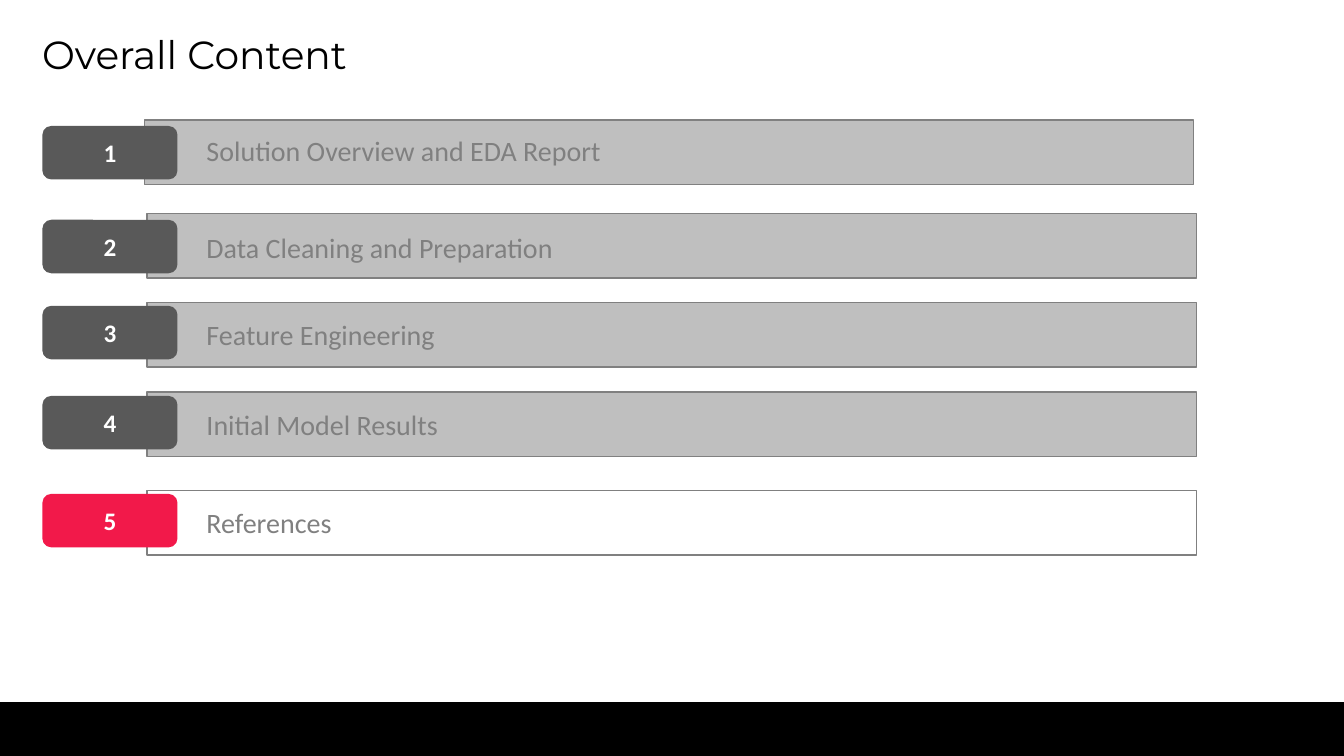
from pptx import Presentation
from pptx.dml.color import RGBColor
from pptx.enum.shapes import MSO_SHAPE
from pptx.enum.text import MSO_ANCHOR, PP_ALIGN
from pptx.util import Pt

RECT, ROUNDED = MSO_SHAPE.RECTANGLE, MSO_SHAPE.ROUNDED_RECTANGLE
MIDDLE, BOTTOM = MSO_ANCHOR.MIDDLE, MSO_ANCHOR.BOTTOM
LEFT, CENTER = PP_ALIGN.LEFT, PP_ALIGN.CENTER
BLACK = RGBColor(0x00, 0x00, 0x00)
WHITE = RGBColor(0xFF, 0xFF, 0xFF)
GREY = RGBColor(0x80, 0x80, 0x80)
LIGHT_GREY = RGBColor(0xBF, 0xBF, 0xBF)
DARK_GREY = RGBColor(0x59, 0x59, 0x59)
RED = RGBColor(0xF2, 0x19, 0x4A)

prs = Presentation()
prs.slide_width, prs.slide_height = Pt(960), Pt(540)
s = prs.slides.add_slide(prs.slide_layouts[6])


def add_box(kind, x, y, w, h, fill, line):
    sp = s.shapes.add_shape(kind, Pt(x), Pt(y), Pt(w), Pt(h))
    sp.shadow.inherit = False
    if fill is None:
        sp.fill.background()
    else:
        sp.fill.solid()
        sp.fill.fore_color.rgb = fill
    if line is None:
        sp.line.fill.background()
    else:
        sp.line.color.rgb = line
        sp.line.width = Pt(1)
    return sp


def set_text(sp, text, font, size, color, anchor=MIDDLE, align=LEFT, bold=False, spacing=0.9):
    tf = sp.text_frame
    tf.word_wrap = True
    tf.vertical_anchor = anchor
    tf.text = text
    p = tf.paragraphs[0]
    p.alignment = align
    p.line_spacing = spacing
    r = p.runs[0]
    r.font.name = font
    r.font.size = Pt(size)
    r.font.bold = bold
    r.font.color.rgb = color


add_box(RECT, 0, 501.8, 960, 38.2, BLACK, BLACK)
title = s.shapes.add_textbox(Pt(23), Pt(16.6), Pt(550.8), Pt(42.5))
set_text(title, "Overall Content", "Montserrat", 28, BLACK, anchor=BOTTOM)

sections = [
    ("Solution Overview and EDA Report", 103, 85.7, 90, 87.8),
    ("Data Cleaning and Preparation", 105.1, 152.6, 157, 157),
    ("Feature Engineering", 105.1, 216, 218.5, 218.9),
    ("Initial Model Results", 105.1, 280.1, 282.8, 283),
    ("References", 105.1, 350.5, 352.8, 353.5),
]
for number, (name, bar_x, bar_y, badge_y, label_y) in enumerate(sections, 1):
    current = number == len(sections)
    add_box(RECT, bar_x, bar_y, 749.5, 46.1, None if current else LIGHT_GREY, GREY)
    badge = add_box(ROUNDED, 30.3, badge_y, 96.5, 38.2, RED if current else DARK_GREY, None)
    set_text(badge, str(number), "Calibri", 18, WHITE, align=CENTER, bold=True, spacing=1.0)
    label = s.shapes.add_textbox(Pt(140.4), Pt(label_y), Pt(550.8), Pt(42.5))
    set_text(label, name, "Calibri", 20, GREY)

prs.save("out.pptx")
